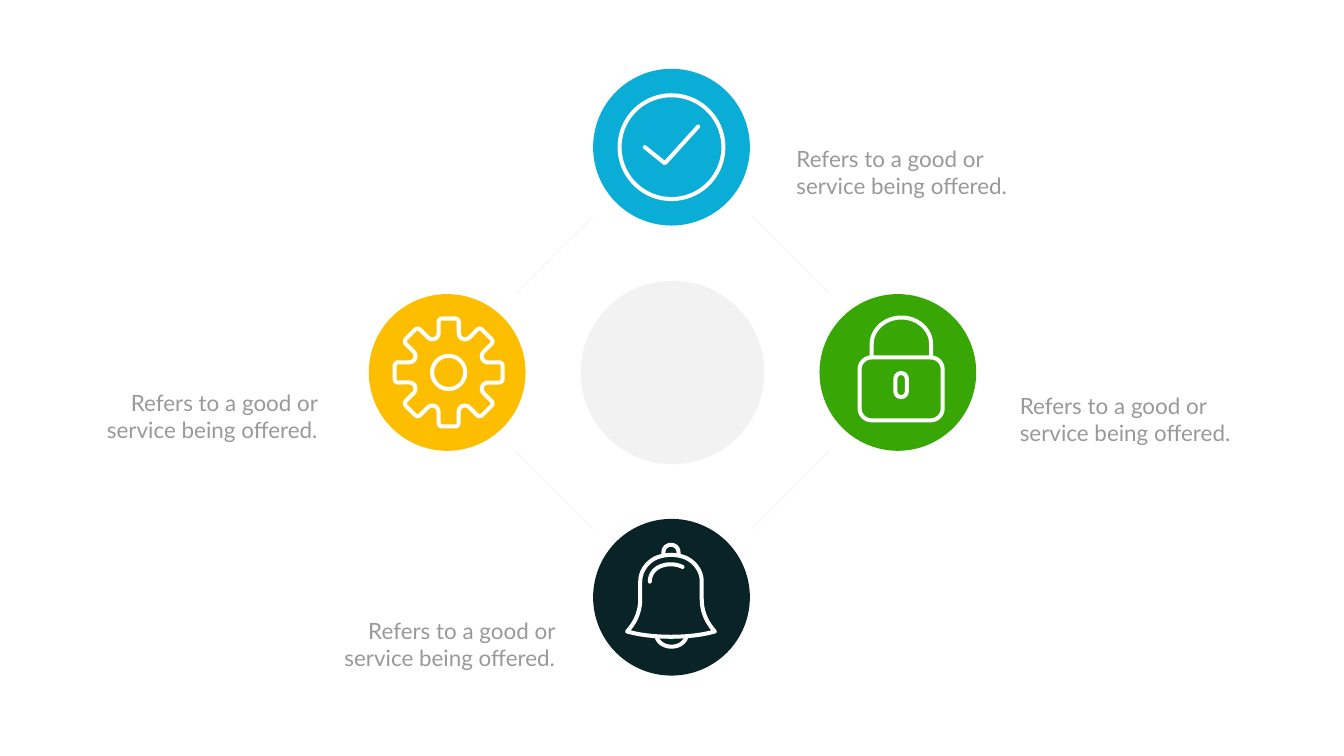
from itertools import product
from math import cos, radians, sin

from lxml.etree import SubElement
from pptx import Presentation
from pptx.dml.color import RGBColor
from pptx.enum.shapes import MSO_CONNECTOR as LINE, MSO_SHAPE as SHAPE
from pptx.enum.text import PP_ALIGN as ALIGN
from pptx.oxml.ns import qn
from pptx.util import Pt

PX = 9144  # 100 px to the inch
THEME = {
    "blue": "09ADD5", "green": "38A604", "gold": "FEBE00", "night": "0A2326",
    "pale": "F2F2F2", "white": "FFFFFF", "gray": "999999",
    "font": "Lato", "size": 32, "thin": 0.88, "stroke": 5.76,
}

# Content: discs (centre, colour) and captions (left, top, text, alignment)
HUB = (1334, 739)
HUB_R, DISC_R = 182, 155.5
DISCS = [(1332, 292, "blue"), (1781, 739, "green"),
         (887, 739, "gold"), (1332, 1185, "night")]
NOTE = "Refers to a good or service being offered."
NOTES = [(1570, 283, NOTE, ALIGN.LEFT), (2013, 773, NOTE, ALIGN.LEFT),
         (198, 767, NOTE, ALIGN.RIGHT), (669, 1219, NOTE, ALIGN.RIGHT)]
NOTE_W, NOTE_H = 442, 118
NEAR, FAR = (312, 155), (158, 310)  # spoke ends, measured from the hub

# Icon strokes: a start point, then steps of one point (line) or three (curve)
CHECK = [(1279, 292), [(1319, 324)], [(1385, 251)]]
SHACKLE = [(1729, 709), [(1729, 683)],
           [(1729, 654), (1755, 630), (1788, 630)],
           [(1821, 630), (1847, 654), (1847, 683)], [(1847, 709)]]
BELL = [(1244, 1253), [(1262, 1233), (1270, 1212), (1270, 1188)],
        [(1270, 1154)], [(1270, 1131), (1286, 1114), (1301, 1107)],
        [(1320, 1099), (1342, 1099), (1361, 1107)],
        [(1376, 1114), (1392, 1131), (1392, 1154)], [(1392, 1188)],
        [(1392, 1212), (1400, 1233), (1418, 1253)],
        [(1370, 1267), (1292, 1267), (1244, 1253)]]
CLAPPER = [(1302, 1263), [(1310, 1290), (1354, 1290), (1362, 1263)]]
CROWN = [(1316, 1100), [(1316, 1096)],
         [(1316, 1076), (1346, 1076), (1346, 1096)], [(1346, 1100)]]
SHINE = [(1289, 1154), [(1289, 1138), (1300, 1128), (1309, 1124)],
         [(1323, 1118), (1340, 1118), (1354, 1125)]]
GEAR = (890, 739)
TOOTH = [[(-20, -100)], [(-20, -104), (-17, -107), (-13, -107)],
         [(13, -107)], [(17, -107), (20, -104), (20, -100)],
         [(20, -79)], [(20, -67), (33, -61), (42, -70)]]

prs = Presentation()
prs.slide_width, prs.slide_height = 2666 * PX, 1500 * PX
slide = prs.slides.add_slide(prs.slide_layouts[6])
shapes = slide.shapes


def emu(*vals):
    return [round(v * PX) for v in vals]


def rgb(name):
    return RGBColor.from_string(THEME[name])


def ink(shape):
    """Give a shape a white outline with round ends and no fill."""
    shape.shadow.inherit = False
    shape.fill.background()
    shape.line.color.rgb = rgb("white")
    shape.line.width = Pt(THEME["stroke"])
    ln = shape.line._get_or_add_ln()
    ln.set("cap", "rnd")
    SubElement(ln, qn("a:round"))


def disc(x, y, r, color):
    oval = shapes.add_shape(SHAPE.OVAL, *emu(x - r, y - r, 2 * r, 2 * r))
    oval.shadow.inherit = False
    oval.fill.solid()
    oval.fill.fore_color.rgb = rgb(color)
    oval.line.fill.background()
    return oval


def ring(x, y, r):
    ink(shapes.add_shape(SHAPE.OVAL, *emu(x - r, y - r, 2 * r, 2 * r)))


def box(x, y, w, h, bend):
    rect = shapes.add_shape(SHAPE.ROUNDED_RECTANGLE, *emu(x, y, w, h))
    rect.adjustments[0] = bend
    ink(rect)


def trace(start, *steps, close=False):
    """Draw a stroke, with each curve cut into short lines."""
    pts = [start]
    for step in steps:
        if len(step) == 1:
            pts += step
            continue
        ctrl = [pts[-1], *step]
        for t in (i / 12 for i in range(1, 13)):
            mix = ((1 - t) ** 3, 3 * t * (1 - t) ** 2,
                   3 * t * t * (1 - t), t ** 3)
            pts.append(tuple(sum(m * p[k] for m, p in zip(mix, ctrl))
                             for k in (0, 1)))
    path = shapes.build_freeform(*emu(*pts[0]))
    path.add_line_segments([emu(*p) for p in pts[1:]], close=close)
    ink(path.convert_to_shape())


def turn(point, angle):
    x, y = point
    c, s = cos(radians(angle)), sin(radians(angle))
    return GEAR[0] + x * c - y * s, GEAR[1] + x * s + y * c


def write(text, x, y, w, h, align=ALIGN.LEFT, size=THEME["size"], color="gray"):
    frame = shapes.add_textbox(*emu(x, y, w, h)).text_frame
    frame.word_wrap = True
    par = frame.paragraphs[0]
    par.text, par.alignment = text, align
    font = par.runs[0].font
    font.name, font.size, font.color.rgb = THEME["font"], Pt(size), rgb(color)


# Hub and discs
hub = disc(*HUB, HUB_R, "pale")
tint = hub.fill._xPr.find(".//" + qn("a:srgbClr"))
SubElement(tint, qn("a:alpha")).set("val", "94000")
for x, y, color in DISCS:
    disc(x, y, DISC_R, color)

# Spokes between the discs
for sx, sy in product((-1, 1), repeat=2):
    ends = [HUB[k] + s * end[k] for end in (NEAR, FAR)
            for k, s in enumerate((sx, sy))]
    spoke = shapes.add_connector(LINE.STRAIGHT, *emu(*ends))
    spoke.line.color.rgb = rgb("pale")
    spoke.line.width = Pt(THEME["thin"])
    SubElement(spoke._element.spPr, qn("a:effectLst"))

# Check icon
ring(1332, 292, 103)
trace(*CHECK)

# Bell icon
trace(*BELL, close=True)
for part in (CLAPPER, CROWN, SHINE):
    trace(*part)

# Gear icon: one tooth turned eight times
teeth = [[turn(p, a) for p in step] for a in range(0, 360, 45) for step in TOOTH]
trace(turn((-20, -79), 0), *teeth, close=True)
ring(*GEAR, 33)

# Lock icon
trace(*SHACKLE)
box(1705, 709, 165, 125, 0.19)
box(1776, 740, 23, 48, 0.5)

# Captions
for x, y, text, align in NOTES:
    write(text, x, y, NOTE_W, NOTE_H, align=align)

prs.save("out.pptx")
